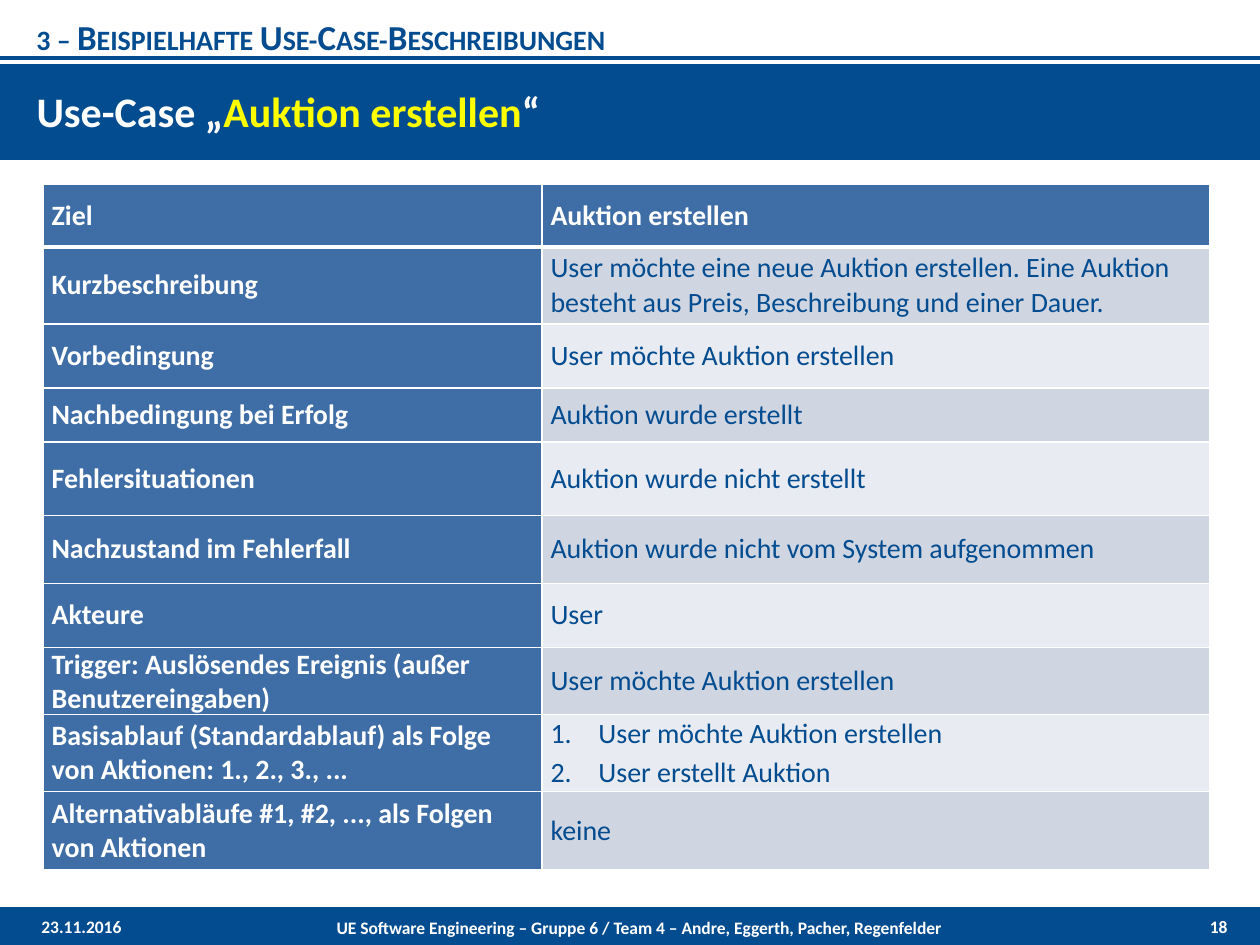
from lxml.etree import SubElement
from pptx import Presentation
from pptx.dml.color import RGBColor
from pptx.enum.shapes import MSO_CONNECTOR, MSO_SHAPE
from pptx.enum.text import MSO_ANCHOR, PP_ALIGN
from pptx.oxml.ns import qn
from pptx.util import Inches, Pt

COLORS = {
    "blue": "044C90",
    "label": "3F6EA7",
    "dark_band": "CFD5E1",
    "light_band": "E8EBF1",
    "white": "FFFFFF",
    "yellow": "FFFF00",
}
COLUMN_WIDTHS = [3.96, 5.3]
ROW_HEIGHTS = [0.5, 0.61, 0.51, 0.43, 0.58, 0.54, 0.51, 0.52, 0.61, 0.62]
USE_CASE = [
    ("Ziel", ["Auktion erstellen"]),
    ("Kurzbeschreibung", ["User möchte eine neue Auktion erstellen. Eine Auktion "
                          "besteht aus Preis, Beschreibung und einer Dauer."]),
    ("Vorbedingung", ["User möchte Auktion erstellen"]),
    ("Nachbedingung bei Erfolg", ["Auktion wurde erstellt"]),
    ("Fehlersituationen", ["Auktion wurde nicht erstellt"]),
    ("Nachzustand im Fehlerfall", ["Auktion wurde nicht vom System aufgenommen"]),
    ("Akteure", ["User"]),
    ("Trigger: Auslösendes Ereignis (außer Benutzereingaben)",
     ["User möchte Auktion erstellen"]),
    ("Basisablauf (Standardablauf) als Folge von Aktionen: 1., 2., 3., ...",
     ["User möchte Auktion erstellen", "User erstellt Auktion"]),
    ("Alternativabläufe #1, #2, ..., als Folgen von Aktionen", ["keine"]),
]


def color(name):
    return RGBColor.from_string(COLORS[name])


def add_run(para, text, size, color_name, bold=True):
    span = para.add_run()
    span.text = text
    span.font.name = "Calibri"
    span.font.size = Pt(size)
    span.font.bold = bold
    span.font.color.rgb = color(color_name)
    return span


def indent(para, left, first=0):
    properties = para._p.get_or_add_pPr()
    properties.set("marL", str(Inches(left)))
    properties.set("indent", str(Inches(first)))
    return properties


def add_band(page, top, height):
    band = page.shapes.add_shape(
        MSO_SHAPE.RECTANGLE, 0, Inches(top), Inches(10), Inches(height))
    band.shadow.inherit = False
    band.fill.solid()
    band.fill.fore_color.rgb = color("blue")
    band.line.fill.background()


def add_rule(page, top):
    rule = page.shapes.add_connector(
        MSO_CONNECTOR.STRAIGHT, 0, Inches(top), Inches(10), Inches(top))
    rule.line.color.rgb = color("blue")
    rule.line.width = Pt(2)
    SubElement(rule._element.spPr, qn("a:effectLst"))


def add_text(page, at, text, size, color_name, align=PP_ALIGN.LEFT,
             anchor=MSO_ANCHOR.MIDDLE):
    box = page.shapes.add_textbox(*map(Inches, at))
    box.text_frame.word_wrap = True
    box.text_frame.vertical_anchor = anchor
    para = box.text_frame.paragraphs[0]
    para.alignment = align
    return para, add_run(para, text, size, color_name)


def add_chapter(page):
    para, span = add_text(page, (0, 0.07, 7.42, 0.4),
                          "3 – Beispielhafte Use-Case-Beschreibungen",
                          20, "blue", anchor=MSO_ANCHOR.TOP)
    indent(para, 0.19)
    para.space_before = Pt(4)
    span._r.get_or_add_rPr().set("cap", "small")


def fill_title(page):
    title = page.shapes.title
    title.left, title.top, title.width, title.height = map(Inches, (0, 0.5, 9.5, 0.75))
    title.text_frame.vertical_anchor = MSO_ANCHOR.MIDDLE
    para = title.text_frame.paragraphs[0]
    para.alignment = PP_ALIGN.LEFT
    indent(para, 0.19)
    for text, color_name in [("Use-Case „", "white"),
                             ("Auktion erstellen", "yellow"), ("“", "white")]:
        add_run(para, text, 24, color_name)


def set_borders(cell, bottom):
    properties = cell._tc.get_or_add_tcPr()
    widths = {"a:lnL": 1, "a:lnR": 1, "a:lnT": 1, "a:lnB": bottom}
    for position, (tag, width) in enumerate(widths.items()):
        line = properties.makeelement(qn(tag), {"w": str(Pt(width))})
        fill = SubElement(line, qn("a:solidFill"))
        SubElement(fill, qn("a:srgbClr"), val=COLORS["white"])
        properties.insert(position, line)


def fill_cell(cell, lines, fill_name, color_name, bold, bottom):
    cell.margin_left = cell.margin_right = Inches(0.07)
    cell.margin_top = cell.margin_bottom = 0
    cell.vertical_anchor = MSO_ANCHOR.MIDDLE
    cell.fill.solid()
    cell.fill.fore_color.rgb = color(fill_name)
    set_borders(cell, bottom)
    frame = cell.text_frame
    for number, text in enumerate(lines):
        para = frame.add_paragraph() if number else frame.paragraphs[0]
        para.space_after = Pt(3)
        if len(lines) > 1:
            properties = indent(para, 0.38, -0.38)
            SubElement(properties, qn("a:buAutoNum"), type="arabicPeriod")
        add_run(para, text, 16, color_name, bold)


def add_use_case_table(page):
    table = page.shapes.add_table(
        len(USE_CASE), 2, Inches(0.34), Inches(1.46),
        Inches(sum(COLUMN_WIDTHS)), Inches(sum(ROW_HEIGHTS))).table
    for column, width in zip(table.columns, COLUMN_WIDTHS):
        column.width = Inches(width)
    for index, (label, lines) in enumerate(USE_CASE):
        table.rows[index].height = Inches(ROW_HEIGHTS[index])
        is_header = index == 0
        bottom = 3 if is_header else 1
        band = "dark_band" if index % 2 else "light_band"
        fill_cell(table.cell(index, 0), [label], "label", "white", True, bottom)
        fill_cell(table.cell(index, 1), lines,
                  "label" if is_header else band,
                  "white" if is_header else "blue", is_header, bottom)


def add_footer(page):
    add_text(page, (0.23, 7.15, 2.33, 0.4), "23.11.2016", 10, "white")
    add_text(page, (7.26, 7.15, 2.58, 0.4), "18", 10, "white", PP_ALIGN.RIGHT)
    add_text(page, (2.19, 7.23, 5.76, 0.4),
             "UE Software Engineering – Gruppe 6 / Team 4 – "
             "Andre, Eggerth, Pacher, Regenfelder",
             10, "white", PP_ALIGN.CENTER, MSO_ANCHOR.TOP)


def main():
    deck = Presentation()
    deck.slide_width, deck.slide_height = Inches(10), Inches(7.5)
    page = deck.slides.add_slide(deck.slide_layouts[5])
    add_band(page, 0.51, 0.76)
    add_rule(page, 0.46)
    add_band(page, 7.2, 0.3)
    title = page.shapes.title._element
    title.getparent().append(title)
    add_chapter(page)
    fill_title(page)
    add_footer(page)
    add_use_case_table(page)
    deck.save("out.pptx")


if __name__ == "__main__":
    main()
